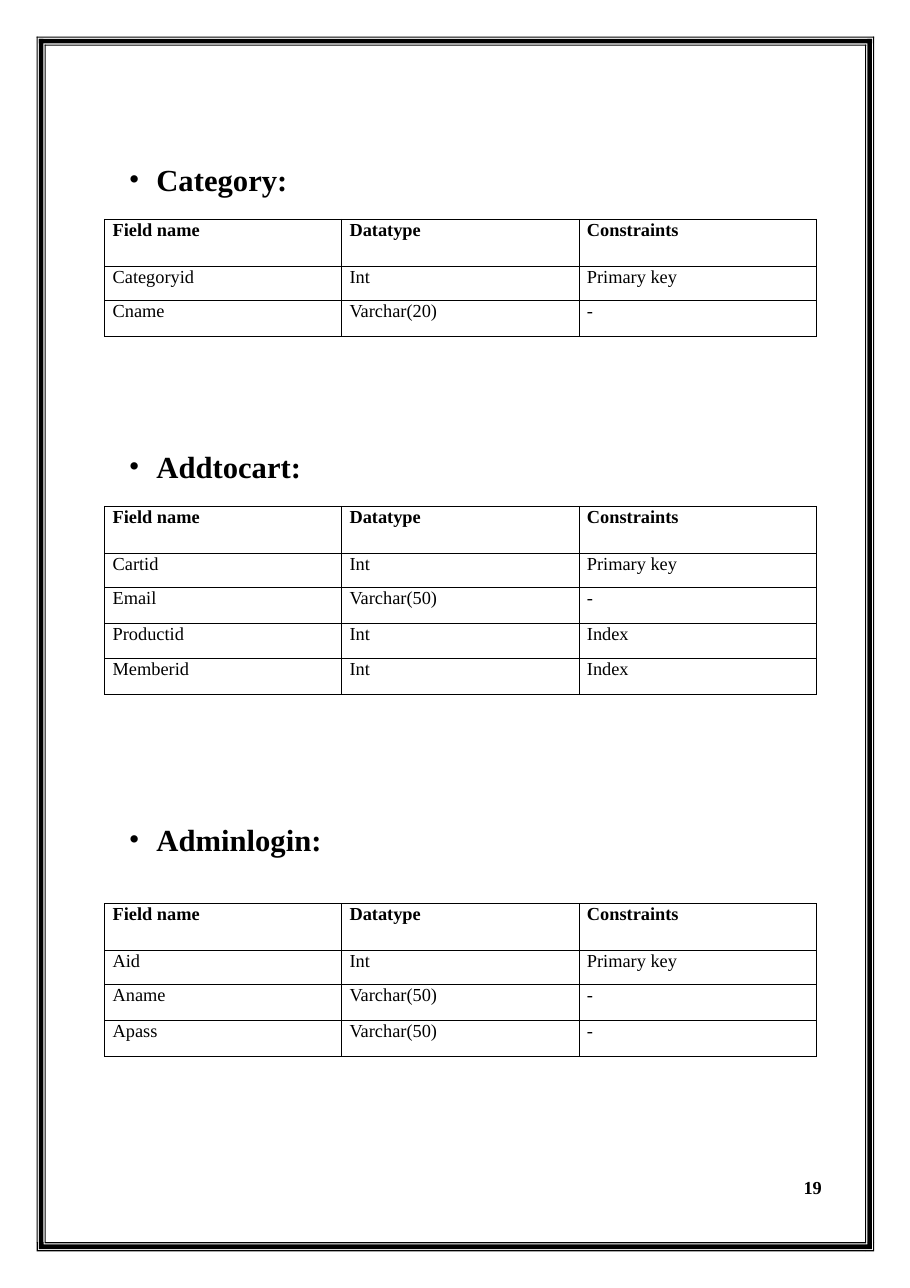
from lxml import etree
from pptx import Presentation
from pptx import util as u
from pptx.dml.color import RGBColor
from pptx.enum import text
from pptx.oxml.ns import qn

PX = 914.4  # 1000 px to the inch
BLACK = "000000"
FONT = "Times New Roman"
COLUMNS = (2150, 2155, 2155)
HEADER_HEIGHT, KEY_HEIGHT, FIELD_HEIGHT = 425, 310, 325
BANDS = ((0, 10), (20, 62), (72, 82))  # border lines, measured inwards
HEADER = ("Field name", "Datatype", "Constraints")
BODY = dict(name=FONT, size=u.Pt(12), bold=False)
BOLD = dict(BODY, bold=True)
HEADING = dict(BOLD, size=u.Pt(20))

# Heading box, table top and records of each section
SECTIONS = [
    ("Category:", (1160, 1450, 1470, 360), 1990, [
        ("Categoryid", "Int", "Primary key"),
        ("Cname", "Varchar(20)", "-")]),
    ("Addtocart:", (1160, 4055, 1590, 360), 4595, [
        ("Cartid", "Int", "Primary key"),
        ("Email", "Varchar(50)", "-"),
        ("Productid", "Int", "Index"),
        ("Memberid", "Int", "Index")]),
    ("Adminlogin:", (1160, 7435, 1780, 360), 8200, [
        ("Aid", "Int", "Primary key"),
        ("Aname", "Varchar(50)", "-"),
        ("Apass", "Varchar(50)", "-")]),
]


def px(*lengths):
    return [u.Emu(round(length * PX)) for length in lengths]


def color(hex_code):
    return RGBColor.from_string(hex_code)


def apply(target, values):
    for key, value in values.items():
        setattr(target, key, value)


def write(frame, words, style, **spacing):
    """Fill a text frame with one styled paragraph and return it."""
    paragraph = frame.paragraphs[0]
    run = paragraph.add_run()
    run.text = words
    apply(run.font, style)
    run.font.color.rgb = color(BLACK)
    apply(paragraph, spacing)
    return paragraph


def add_label(slide, box, words, style, inset_top=0, **spacing):
    frame = slide.shapes.add_textbox(*px(*box)).text_frame
    apply(frame, dict(margin_left=0, margin_top=px(inset_top)[0],
                      margin_right=0, margin_bottom=0, word_wrap=True))
    return write(frame, words, style, **spacing)


def add_border_piece(slide, outlines):
    """One black shape made of several closed outlines."""
    first, *others = outlines
    builder = slide.shapes.build_freeform(*first[0], scale=PX)
    builder.add_line_segments(first[1:])
    for outline in others:
        builder.move_to(*outline[0])
        builder.add_line_segments(outline[1:])
    piece = builder.convert_to_shape()
    piece.shadow.inherit = False
    piece.fill.solid()
    piece.fill.fore_color.rgb = color(BLACK)
    piece.line.fill.background()


def add_page_border(slide, box):
    left, top, width, height = box
    right, bottom = left + width, top + height
    depth = BANDS[-1][1]
    inner_right, inner_bottom = right - depth, bottom - depth

    def side(edge, inward):
        return [[(edge + inward * a, top + a), (edge + inward * b, top + a),
                 (edge + inward * b, inner_bottom),
                 (edge + inward * a, inner_bottom)] for a, b in BANDS]

    def corner(edge, inward):
        return [[(edge + inward * a, inner_bottom),
                 (edge + inward * b, inner_bottom),
                 (edge + inward * b, bottom - b), (inner_right, bottom - b),
                 (inner_right, bottom - a), (edge + inward * a, bottom - a)]
                for a, b in BANDS]

    lid = [[(left + a, top + a), (right - a, top + a),
            (right - a, top + b), (left + a, top + b)] for a, b in BANDS]
    for outlines in (side(left, 1), side(right, -1), lid,
                     corner(left, 1), corner(right, -1)):
        add_border_piece(slide, outlines)


def add_heading(slide, box, words):
    heading = add_label(slide, box, words, HEADING, inset_top=13,
                        space_before=u.Pt(1))
    properties = heading._p.get_or_add_pPr()
    hanging, back = px(260, -250)
    properties.set("marL", str(hanging))
    properties.set("indent", str(back))
    etree.SubElement(properties, qn("a:buFont")).set("typeface", FONT)
    etree.SubElement(properties, qn("a:buChar")).set("char", "•")


def add_borders(cell):
    properties = cell._tc.get_or_add_tcPr()
    for edge_tag in ("a:lnL", "a:lnR", "a:lnT", "a:lnB"):
        edge = etree.SubElement(properties, qn(edge_tag), w=str(u.Pt(0.5)))
        fill = etree.SubElement(edge, qn("a:solidFill"))
        etree.SubElement(fill, qn("a:srgbClr"), val=BLACK)


def add_field_table(slide, left, top, records):
    rows = [HEADER, *records]
    heights = [HEADER_HEIGHT, KEY_HEIGHT]
    heights += [FIELD_HEIGHT] * (len(rows) - len(heights))
    table = slide.shapes.add_table(
        len(rows), len(COLUMNS),
        *px(left, top, sum(COLUMNS), sum(heights))).table
    apply(table, dict(first_row=False, horz_banding=False))
    for column, width in zip(table.columns, px(*COLUMNS)):
        column.width = width
    for row, height, record in zip(table.rows, px(*heights), rows):
        row.height = height
        style = BOLD if record is HEADER else BODY
        for cell, words in zip(row.cells, record):
            apply(cell, dict(margin_left=px(73)[0], margin_top=0,
                             margin_right=0, margin_bottom=0))
            write(cell.text_frame, words, style, line_spacing=u.Pt(13.8))
            add_borders(cell)
            cell.fill.background()


def add_page_number(slide, box):
    add_label(slide, box, "19", BOLD, line_spacing=u.Pt(14.1),
              alignment=text.PP_ALIGN.RIGHT)


def main():
    deck = Presentation()
    deck.slide_width, deck.slide_height = px(8260, 11690)
    slide = deck.slides.add_slide(deck.slide_layouts[6])
    add_page_border(slide, (333, 333, 7602, 11024))
    for name, heading_box, table_top, records in SECTIONS:
        add_heading(slide, heading_box, name)
        add_field_table(slide, 950, table_top, records)
    add_page_number(slide, (7210, 10675, 250, 210))
    deck.save("out.pptx")


if __name__ == "__main__":
    main()
